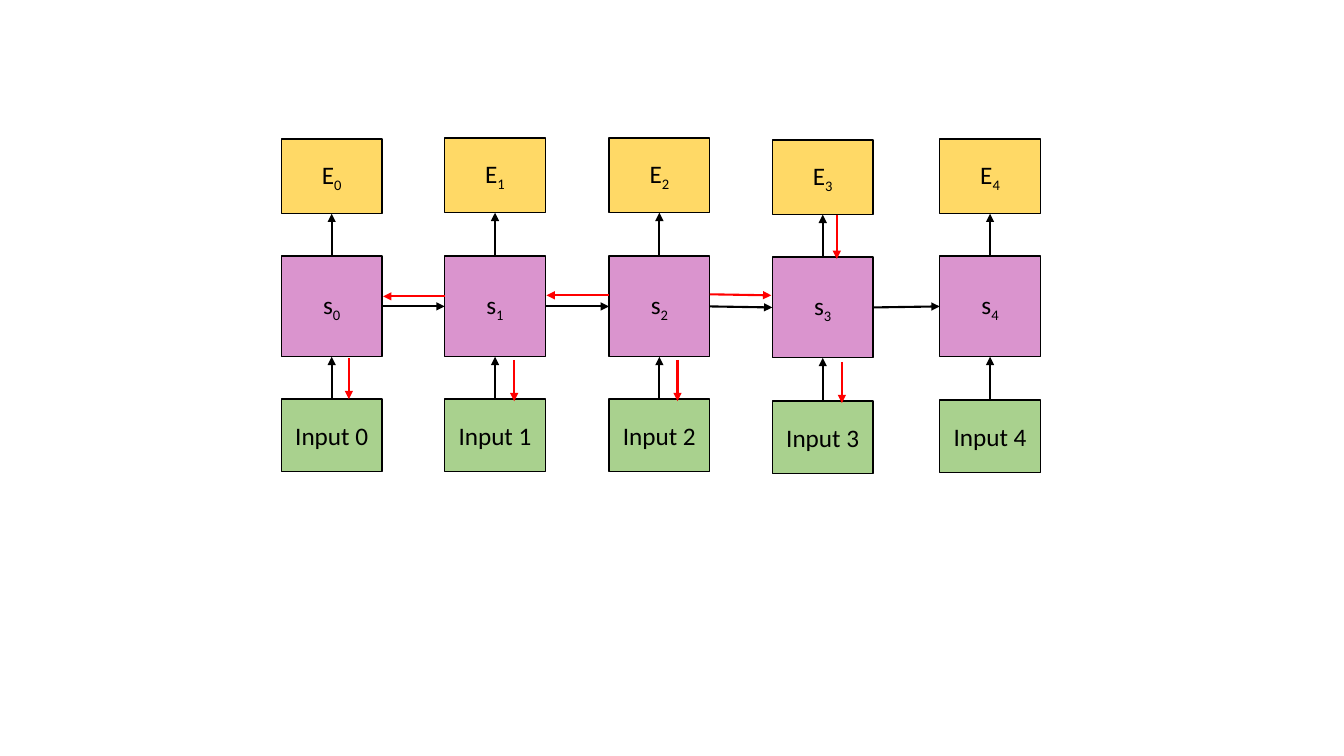
from itertools import pairwise

from lxml.etree import SubElement
from pptx import Presentation
from pptx.dml.color import RGBColor
from pptx.enum.shapes import MSO_CONNECTOR, MSO_SHAPE
from pptx.enum.text import MSO_ANCHOR, PP_ALIGN
from pptx.oxml.ns import qn
from pptx.util import Inches, Pt

BLACK, RED = "000000", "FF0000"
GOLD, ORCHID, GREEN = "FFD966", "DA94CE", "A9D18E"
TOP, LEFT, BOTTOM, RIGHT = range(4)  # connection sites of a rectangle

# Time steps: left edge, then tops of the error, state and input cells
STEPS = [
    (2.79, 1.38, 2.54, 3.96),
    (4.41, 1.37, 2.54, 3.96),
    (6.04, 1.37, 2.54, 3.96),
    (7.66, 1.39, 2.55, 3.98),
    (9.32, 1.38, 2.54, 3.97),
]

# Gradient flow: start x, start y, end x, end y
GRADIENTS = [
    (8.3, 2.13, 8.3, 2.57),
    (7.04, 2.92, 7.65, 2.93),
    (6.04, 2.93, 5.42, 2.93),
    (4.41, 2.94, 3.8, 2.94),
    (3.46, 3.55, 3.46, 3.96),
    (5.1, 3.57, 5.1, 3.98),
    (6.72, 3.57, 6.72, 3.98),
    (8.35, 3.59, 8.35, 4),
]


def rgb(color):
    return RGBColor.from_string(color)


def add_text(paragraph, text, size=18, color=BLACK, font="Calibri", subscript=False):
    run = paragraph.add_run()
    run.text = text
    run.font.name = font
    run.font.size = Pt(size)
    run.font.color.rgb = rgb(color)
    if subscript:
        run.font._element.set("baseline", "-25000")


def add_cell(slide, left, top, height, fill, label, index=""):
    cell = slide.shapes.add_shape(
        MSO_SHAPE.RECTANGLE, Inches(left), Inches(top), Inches(1), Inches(height))
    cell.shadow.inherit = False
    cell.fill.solid()
    cell.fill.fore_color.rgb = rgb(fill)
    cell.line.color.rgb = rgb(BLACK)
    cell.line.width = Pt(1)
    cell.text_frame.vertical_anchor = MSO_ANCHOR.MIDDLE
    paragraph = cell.text_frame.paragraphs[0]
    paragraph.alignment = PP_ALIGN.CENTER
    add_text(paragraph, label)
    if index:
        add_text(paragraph, index, subscript=True)
    return cell


def add_arrow(slide, color, x1=0, y1=0, x2=0, y2=0):
    arrow = slide.shapes.add_connector(
        MSO_CONNECTOR.STRAIGHT, Inches(x1), Inches(y1), Inches(x2), Inches(y2))
    arrow.line.color.rgb = rgb(color)
    arrow.line.width = Pt(1.5)
    SubElement(arrow.line._get_or_add_ln(), qn("a:tailEnd"), type="triangle")
    SubElement(arrow._element.spPr, qn("a:effectLst"))
    return arrow


def link(slide, source, source_site, target, target_site):
    arrow = add_arrow(slide, BLACK)
    arrow.begin_connect(source, source_site)
    arrow.end_connect(target, target_site)


def main():
    prs = Presentation()
    prs.slide_width, prs.slide_height = Inches(13.33), Inches(7.5)
    slide = prs.slides.add_slide(prs.slide_layouts[6])

    # Cells of each time step, linked upwards
    states = []
    for step, (left, error_top, state_top, input_top) in enumerate(STEPS):
        error = add_cell(slide, left, error_top, 0.74, GOLD, "E", str(step))
        state = add_cell(slide, left, state_top, 1, ORCHID, "s", str(step))
        entry = add_cell(slide, left, input_top, 0.72, GREEN, f"Input {step}")
        link(slide, entry, TOP, state, BOTTOM)
        link(slide, state, TOP, error, BOTTOM)
        states.append(state)

    # Forward pass between states
    for state, following in pairwise(states):
        link(slide, state, RIGHT, following, LEFT)

    # Backward pass
    for gradient in GRADIENTS:
        add_arrow(slide, RED, *gradient)

    prs.save("out.pptx")


if __name__ == "__main__":
    main()
